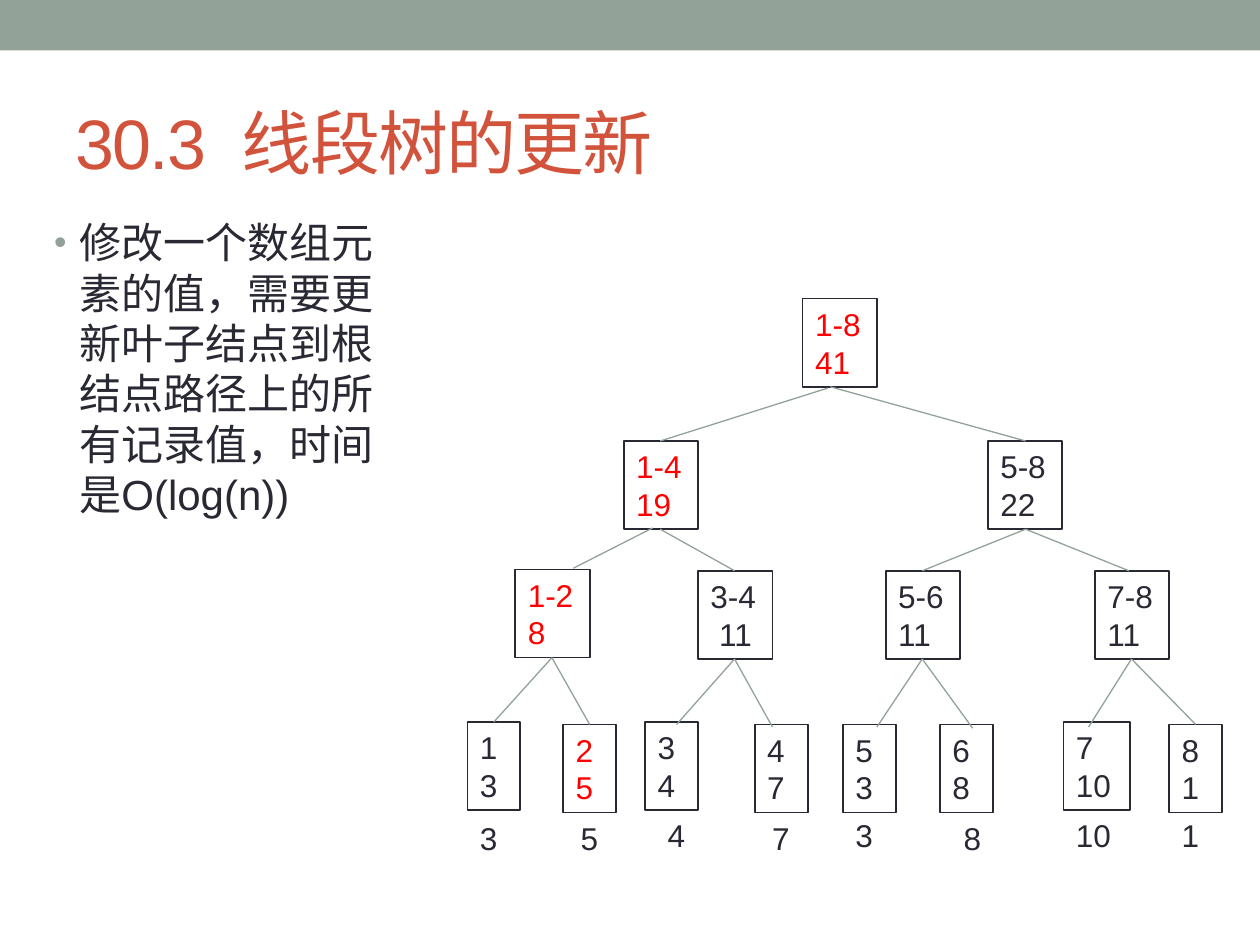
from pptx import Presentation
from pptx.dml.color import RGBColor
from pptx.enum.shapes import MSO_CONNECTOR as Connector, MSO_SHAPE as Shape
from pptx.enum.text import MSO_ANCHOR as Anchor, MSO_AUTO_SIZE as AutoSize, PP_ALIGN as Align
from pptx.oxml.ns import qn
from pptx.util import Inches, Pt
from lxml import etree

COLORS = {"bar": "93A299", "title": "D2533C", "text": "292934", "path": "FF0000"}
FONT = "Arial"
TITLE = "30.3  线段树的更新"
BODY = "修改一个数组元素的值，需要更新叶子结点到根结点路径上的所有记录值，时间是O(log(n))"

NODE_HEIGHT = 0.7
NODES = [
    (6.37, 2.37, 0.59, "1-8", "41", "path"),
    (4.95, 3.5, 0.59, "1-4", "19", "path"),
    (7.84, 3.5, 0.59, "5-8", "22", "text"),
    (4.09, 4.52, 0.59, "1-2", "8", "path"),
    (5.54, 4.53, 0.59, "3-4", " 11", "text"),
    (7.03, 4.53, 0.59, "5-6", "11", "text"),
    (8.69, 4.53, 0.59, "7-8", "11", "text"),
    (3.71, 5.73, 0.42, "1", "3", "text"),
    (4.47, 5.75, 0.42, "2", "5", "path"),
    (5.12, 5.73, 0.42, "3", "4", "text"),
    (5.99, 5.75, 0.42, "4", "7", "text"),
    (6.69, 5.75, 0.42, "5", "3", "text"),
    (7.46, 5.75, 0.42, "6", "8", "text"),
    (8.44, 5.73, 0.53, "7", "10", "text"),
    (9.28, 5.75, 0.42, "8", "1", "text"),
]
ARRAY_VALUES = [
    (3.71, 6.45, 0.34, "3"), (4.51, 6.45, 0.34, "5"),
    (5.2, 6.43, 0.34, "4"), (6.03, 6.45, 0.34, "7"),
    (6.69, 6.43, 0.34, "3"), (7.55, 6.45, 0.34, "8"),
    (8.44, 6.43, 0.63, "10"), (9.28, 6.43, 0.63, "1"),
]
EDGES = [
    (6.57, 3.08, 5.24, 3.5), (6.59, 3.07, 8.14, 3.5),
    (5.18, 4.19, 4.55, 4.51), (5.24, 4.2, 5.83, 4.53),
    (8.14, 4.2, 7.32, 4.53), (8.14, 4.2, 8.96, 4.53),
    (4.38, 5.22, 3.92, 5.73), (4.38, 5.22, 4.68, 5.75),
    (5.83, 5.23, 5.37, 5.75), (5.83, 5.23, 6.13, 5.77),
    (7.32, 5.23, 6.96, 5.77), (7.32, 5.23, 7.72, 5.78),
    (8.98, 5.23, 8.64, 5.77), (8.98, 5.23, 9.49, 5.75),
]


def rgb(name):
    return RGBColor.from_string(COLORS[name])


def place(shape, left, top, width, height):
    shape.left, shape.top = Inches(left), Inches(top)
    shape.width, shape.height = Inches(width), Inches(height)


def write(shape, lines, size, color, anchor=Anchor.TOP):
    frame = shape.text_frame
    frame.word_wrap = True
    frame.auto_size = AutoSize.NONE
    frame.vertical_anchor = anchor
    for index, line in enumerate(lines):
        paragraph = frame.add_paragraph() if index else frame.paragraphs[0]
        paragraph.alignment = Align.LEFT
        run = paragraph.add_run()
        run.text = line
        run.font.name = FONT
        run.font.size = Pt(size)
        run.font.color.rgb = rgb(color)
    return frame.paragraphs[0]


def add_box(left, top, width, height):
    box = slide.shapes.add_shape(Shape.RECTANGLE, *map(Inches, (left, top, width, height)))
    box.shadow.inherit = False
    return box


def add_bullet(paragraph):
    properties = paragraph._p.get_or_add_pPr()
    properties.set("marL", str(Inches(0.2)))
    properties.set("indent", str(-Inches(0.2)))
    color = etree.SubElement(properties, qn("a:buClr"))
    etree.SubElement(color, qn("a:srgbClr"), val=COLORS["bar"])
    etree.SubElement(properties, qn("a:buSzPct"), val="85000")
    etree.SubElement(properties, qn("a:buFont"), typeface=FONT)
    etree.SubElement(properties, qn("a:buChar"), char="•")


presentation = Presentation()
presentation.slide_width, presentation.slide_height = Inches(10), Inches(7.5)
slide = presentation.slides.add_slide(presentation.slide_layouts[1])

bar = add_box(0, 0, 10, 0.4)
bar.fill.solid()
bar.fill.fore_color.rgb = rgb("bar")
bar.line.fill.background()

title, body = slide.placeholders
place(title, 0.5, 0.58, 9, 1.08)
heading = write(title, [TITLE], 40, "title", Anchor.MIDDLE)
heading.runs[0].font._element.set("spc", "-100")
place(body, 0.33, 1.67, 2.88, 5.33)
paragraph = write(body, [BODY], 24, "text")
paragraph.space_before = Pt(4.8)
add_bullet(paragraph)

for left, top, width, span, total, color in NODES:
    node = add_box(left, top, width, NODE_HEIGHT)
    node.fill.background()
    node.line.color.rgb = rgb("text")
    node.line.width = Pt(1)
    write(node, [span, total], 18, color)

for left, top, width, value in ARRAY_VALUES:
    label = slide.shapes.add_textbox(*map(Inches, (left, top, width, 0.4)))
    write(label, [value], 18, "text")

for points in EDGES:
    edge = slide.shapes.add_connector(Connector.STRAIGHT, *map(Inches, points))
    edge.line.color.rgb = rgb("bar")
    edge.line.width = Pt(0.75)
    etree.SubElement(edge._element.spPr, qn("a:effectLst"))

presentation.save("out.pptx")
